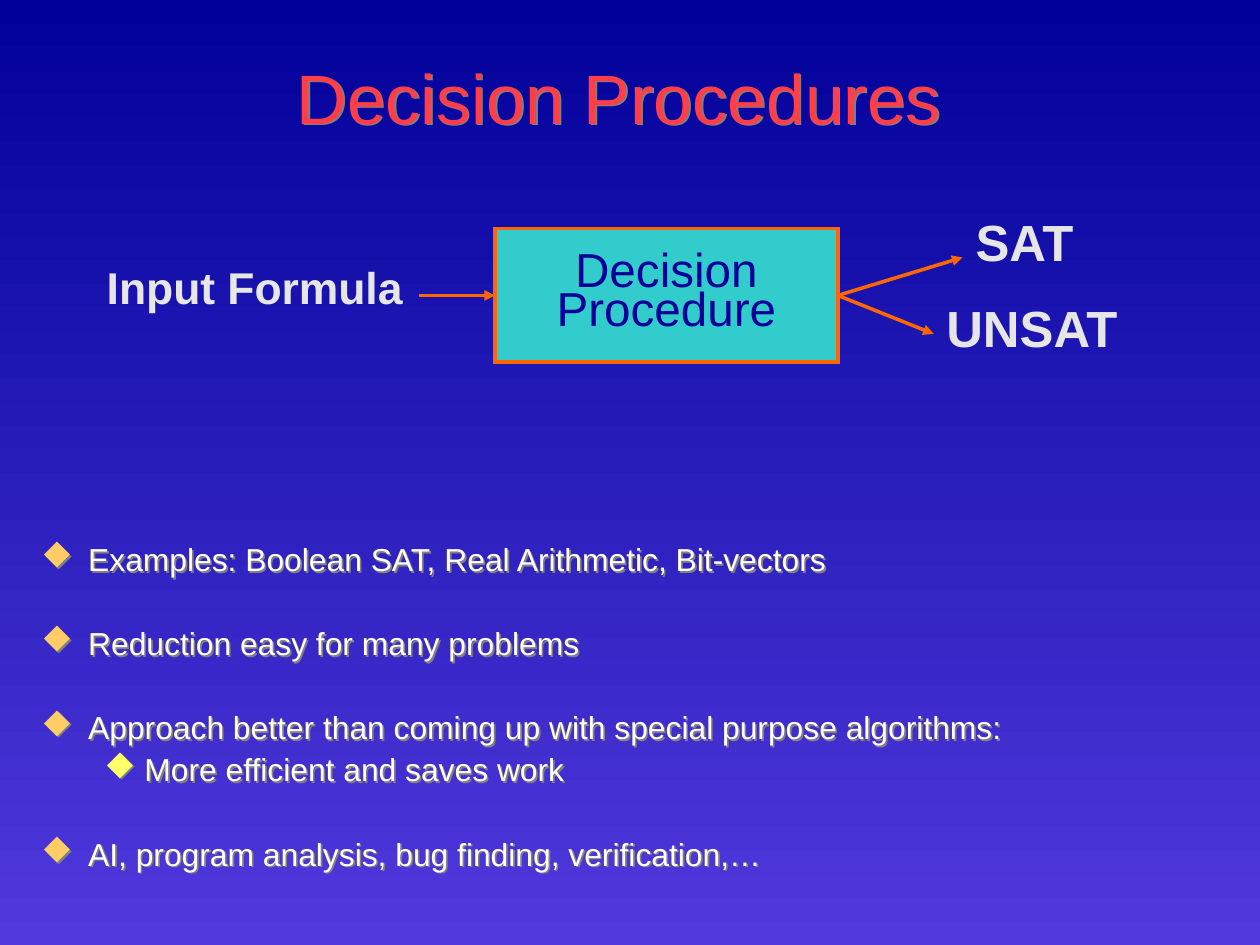
import pptx
import pptx.util
import pptx.dml.color
import pptx.enum.shapes
import pptx.enum.text
import pptx.oxml
import pptx.oxml.ns
from lxml import etree

Cm, Pt = pptx.util.Cm, pptx.util.Pt
RGB = pptx.dml.color.RGBColor
ALIGN = pptx.enum.text.PP_ALIGN
ANCHOR = pptx.enum.text.MSO_ANCHOR
qn = pptx.oxml.ns.qn

NAVY = RGB(0x01, 0x01, 0x99)
VIOLET = RGB(0x50, 0x39, 0xDD)
RED = RGB(0xFF, 0x3E, 0x48)
TEAL = RGB(0x33, 0xCC, 0xCC)
ORANGE = RGB(0xFF, 0x66, 0x00)
SILVER = RGB(0xE6, 0xE6, 0xE6)
GREY = RGB(0x80, 0x80, 0x80)
WHITE = RGB(0xFF, 0xFF, 0xFF)
AMBER = RGB(0xFF, 0xCC, 0x66)
YELLOW = RGB(0xFF, 0xFF, 0x66)

# Content
TITLE = "Decision Procedures"
STAGE = ["Decision", "Procedure"]
# text, size, left, middle, width, alignment
LABELS = [
    ("Input Formula", 28, 1.63, 6.37, 8.06, ALIGN.CENTER),
    ("SAT", 32, 21.68, 5.37, 2.97, ALIGN.LEFT),
    ("UNSAT", 32, 21.03, 7.28, 4.88, ALIGN.LEFT),
]
# level, text, space before
POINTS = [
    (0, "Examples: Boolean SAT, Real Arithmetic, Bit-vectors", 0),
    (0, "Reduction easy for many problems", 31.4),
    (0, "Approach better than coming up with special purpose algorithms:", 31.4),
    (1, "More efficient and saves work", 5),
    (0, "AI, program analysis, bug finding, verification,…", 31.4),
]
# bullet colour, left margin, hanging indent
LEVELS = [(AMBER, 1.04, 1.04), (YELLOW, 2.29, 0.89)]
BOX = (11, 5.08, 7.62, 2.97)
OUTS = [(21.39, 5.72), (20.75, 7.42)]
START = 9.32


def style(para, size, color, bold=False):
    font = para.font
    font.name, font.size, font.bold = "Arial", Pt(size), bold
    font.color.rgb = color


def add_text(slide, place, inset=(0, 0), anchor=ANCHOR.MIDDLE, shade=False):
    shape = slide.shapes.add_textbox(*map(Cm, place))
    if shade:
        # Unfilled box: the shadow falls from the letters
        group = etree.SubElement(shape._element.spPr, qn("a:effectLst"))
        drop = etree.SubElement(group, qn("a:outerShdw"), blurRad="0",
                                dist="19050", dir="2700000")
        etree.SubElement(drop, qn("a:srgbClr"), val=str(GREY))
    frame = shape.text_frame
    frame.word_wrap = True
    frame.vertical_anchor = anchor
    frame.margin_left = frame.margin_right = Cm(inset[0])
    frame.margin_top = frame.margin_bottom = Cm(inset[1])
    return frame


def add_bullet(para, color, left, hang):
    """Hang a diamond, which is the letter u in the symbol font."""
    props = para._p.get_or_add_pPr()
    props.set("marL", str(Cm(left)))
    props.set("indent", str(-Cm(hang)))
    tint = etree.SubElement(props, qn("a:buClr"))
    etree.SubElement(tint, qn("a:srgbClr"), val=str(color))
    etree.SubElement(props, qn("a:buFont"), typeface="Wingdings",
                     pitchFamily="2", charset="2")
    etree.SubElement(props, qn("a:buChar"), char="u")


def add_arrow(slide, start, end):
    kind = pptx.enum.shapes.MSO_CONNECTOR.STRAIGHT
    arrow = slide.shapes.add_connector(kind, *map(Cm, start + end))
    arrow.line.color.rgb = ORANGE
    arrow.line.width = Pt(2.25)
    etree.SubElement(arrow.line._get_or_add_ln(), qn("a:tailEnd"), type="triangle")
    etree.SubElement(arrow._element.spPr, qn("a:effectLst"))
    return arrow


def main():
    deck = pptx.Presentation()
    deck.slide_width, deck.slide_height = Cm(28), Cm(21)
    slide = deck.slides.add_slide(deck.slide_layouts[6])

    # Background
    fill = slide.background.fill
    fill.gradient()
    fill.gradient_angle = 270
    for stop, color, place in zip(fill.gradient_stops, (NAVY, VIOLET), (0, 1)):
        stop.color.rgb, stop.position = color, place

    # Title
    frame = add_text(slide, (1.91, 0.87, 23.7, 2.54), (0.28, 0.15), shade=True)
    para = frame.paragraphs[0]
    para.text, para.alignment = TITLE, ALIGN.CENTER
    style(para, 44, RED)

    # Bullet points
    frame = add_text(slide, (0.64, 11.94, 26.47, 8.36), (0.28, 0.15),
                     ANCHOR.TOP, shade=True)
    for num, (level, text, gap) in enumerate(POINTS):
        para = frame.add_paragraph() if num else frame.paragraphs[0]
        para.text, para.level = text, level
        para.line_spacing, para.space_before = 0.9, Pt(gap)
        add_bullet(para, *LEVELS[level])
        style(para, 20, WHITE)

    # Central box
    rect = pptx.enum.shapes.MSO_SHAPE.RECTANGLE
    box = slide.shapes.add_shape(rect, *map(Cm, BOX))
    box.shadow.inherit = False
    box.fill.solid()
    box.fill.fore_color.rgb = TEAL
    box.line.color.rgb = ORANGE
    box.line.width = Pt(2.25)
    etree.SubElement(box.line._get_or_add_ln(), qn("a:miter"), lim="800000")
    frame = box.text_frame
    frame.vertical_anchor = ANCHOR.MIDDLE
    frame.text = "\n".join(STAGE)
    for para in frame.paragraphs:
        para.alignment, para.line_spacing = ALIGN.CENTER, 0.67
        style(para, 30, NAVY)

    # Labels
    for text, size, left, mid, width, align in LABELS:
        high = 1.4
        para = add_text(slide, (left, mid - high / 2, width, high)).paragraphs[0]
        para.text, para.alignment = text, align
        style(para, size, SILVER, True)

    # Arrows
    left, top, width, high = BOX
    mid = top + high / 2
    add_arrow(slide, (START, mid), (left, mid)).end_connect(box, 1)
    for end in OUTS:
        add_arrow(slide, (left + width, mid), end).begin_connect(box, 3)

    deck.save("out.pptx")


if __name__ == "__main__":
    main()
